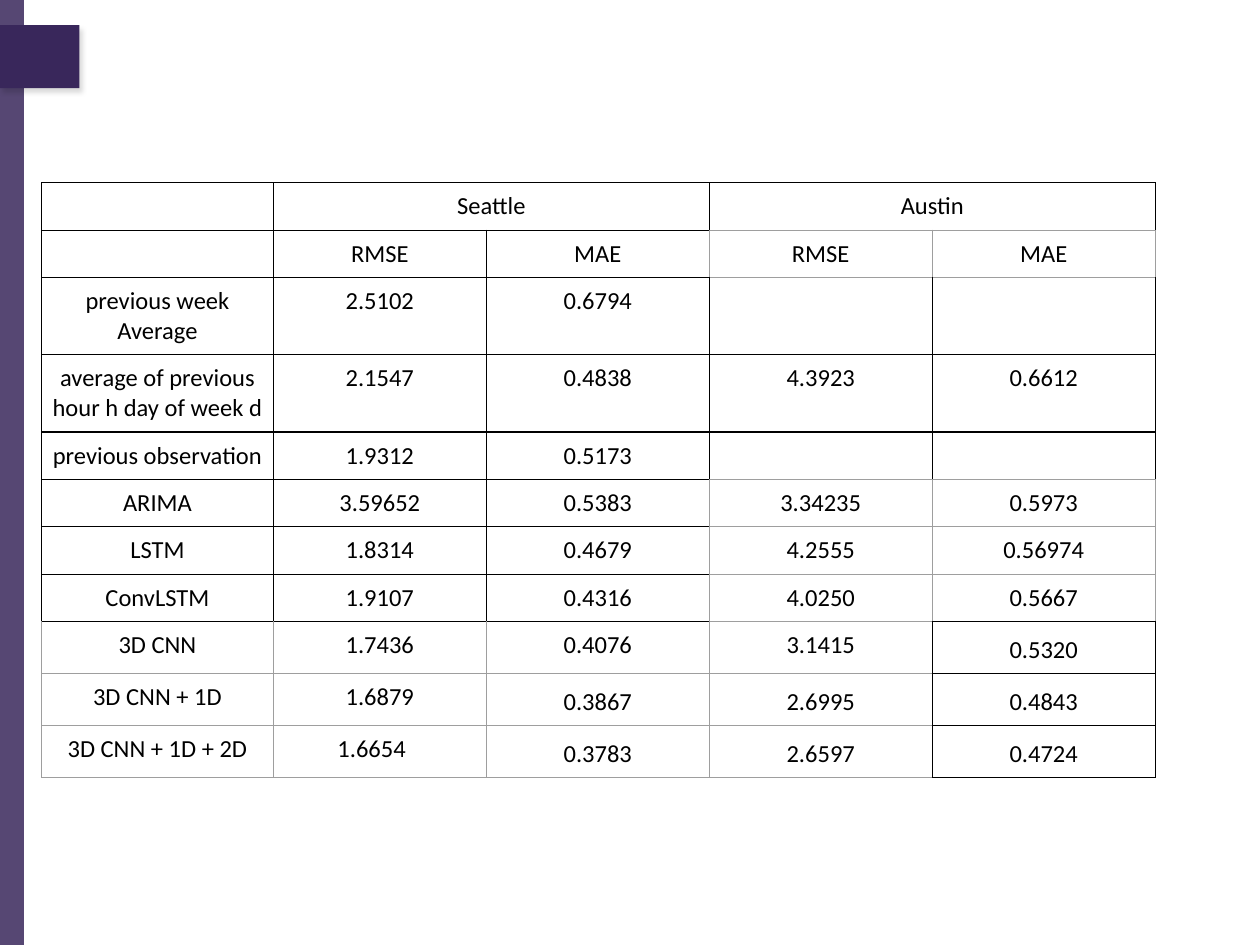
from itertools import product

from lxml import etree
from pptx import Presentation
from pptx.dml.color import RGBColor
from pptx.enum.shapes import MSO_SHAPE as SHAPE
from pptx.enum.text import PP_ALIGN as ALIGN
from pptx.oxml import parse_xml
from pptx.oxml.ns import nsdecls, qn
from pptx.util import Inches, Pt

COLORS = {"purple": "39275B", "black": "000000", "grey": "9E9E9E"}
FONT = "Calibri"
MARGIN = Inches(0.07)

COLUMN_WIDTHS = [1.84, 1.69, 1.77, 1.77, 1.77]
ROW_HEIGHTS = [0.37] * 2 + [0.6] * 2 + [0.37] * 4 + [0.39] * 3
ROWS = [
    ["", "Seattle", "", "Austin", ""],
    ["", "RMSE", "MAE", "RMSE", "MAE"],
    ["previous week Average", "2.5102", "0.6794", "", ""],
    ["average of previous hour h day of week d",
     "2.1547", "0.4838", "4.3923", "0.6612"],
    ["previous observation", "1.9312", "0.5173", "", ""],
    ["ARIMA", "3.59652", "0.5383", "3.34235", "0.5973"],
    ["LSTM", "1.8314", "0.4679", "4.2555", "0.56974"],
    ["ConvLSTM", "1.9107", "0.4316", "4.0250", "0.5667"],
    ["3D CNN", "1.7436", "0.4076", "3.1415", "0.5320"],
    ["3D CNN + 1D", "1.6879", "0.3867", "2.6995", "0.4843"],
    ["3D CNN + 1D + 2D", "1.6654", "0.3783", "2.6597", "0.4724"],
]
# Cells with looser line spacing, as (row, column)
LOOSE_CELLS = {(8, 4), *product((9, 10), (2, 3, 4))}

# Grey grid lines: horizontal as (line, column), vertical as (row, line)
GREY_HORIZONTAL = {*product((1, 2, 5, 6, 7), (3, 4)), (8, 3),
                   *product((9, 10, 11), range(4))}
GREY_VERTICAL = {*product((1, 5, 6, 7), (3, 4, 5)),
                 *product((8, 9, 10), range(4))}


def add_block(slide, left, top, width, height):
    shape = slide.shapes.add_shape(SHAPE.RECTANGLE, left, top, width, height)
    shape.shadow.inherit = False
    shape.fill.solid()
    shape.fill.fore_color.rgb = RGBColor.from_string(COLORS["purple"])
    shape.line.fill.background()
    return shape


def add_side_band(slide, left, top, width, height):
    # Translucent strip along the edge
    strip = add_block(slide, left, top, width, height)
    color = strip.fill._xPr.find(".//" + qn("a:srgbClr"))
    etree.SubElement(color, qn("a:alpha"), val="85000")

    # Tab with a soft shadow
    tab = add_block(slide, left, top + Inches(0.2), Inches(0.63), Inches(0.5))
    effects = tab._element.spPr.find(qn("a:effectLst"))
    effects.append(parse_xml(
        f'<a:outerShdw {nsdecls("a")} blurRad="38100" dist="38100" '
        f'dir="3600000" algn="tl" rotWithShape="0">'
        f'<a:srgbClr val="{COLORS["black"]}"><a:alpha val="15000"/>'
        f'</a:srgbClr></a:outerShdw>'))


def set_borders(cell, row, column):
    grey_sides = {
        "lnL": (row, column) in GREY_VERTICAL,
        "lnR": (row, column + 1) in GREY_VERTICAL,
        "lnT": (row, column) in GREY_HORIZONTAL,
        "lnB": (row + 1, column) in GREY_HORIZONTAL,
    }
    properties = cell._tc.get_or_add_tcPr()
    for position, (side, is_grey) in enumerate(grey_sides.items()):
        color = COLORS["grey" if is_grey else "black"]
        properties.insert(position, parse_xml(
            f'<a:{side} {nsdecls("a")} w="{Pt(0.75)}"><a:solidFill>'
            f'<a:srgbClr val="{color}"/></a:solidFill></a:{side}>'))


def fill_cell(cell, text, line_spacing):
    cell.fill.background()
    cell.margin_left = cell.margin_right = MARGIN
    cell.margin_top = cell.margin_bottom = MARGIN if text else Inches(0.03)
    cell.text = text
    paragraph = cell.text_frame.paragraphs[0]
    paragraph.alignment = ALIGN.CENTER
    paragraph.line_spacing = line_spacing
    paragraph.font.size = Pt(14)
    paragraph.font.name = FONT
    paragraph.font.color.rgb = RGBColor.from_string(COLORS["black"])


def add_results_table(slide, left, top):
    table = slide.shapes.add_table(
        len(ROWS), len(COLUMN_WIDTHS), left, top,
        Inches(sum(COLUMN_WIDTHS)), Inches(sum(ROW_HEIGHTS))).table
    table.first_row = table.horz_banding = False
    for column, width in zip(table.columns, COLUMN_WIDTHS):
        column.width = Inches(width)
    for row, height in zip(table.rows, ROW_HEIGHTS):
        row.height = Inches(height)

    for row, values in enumerate(ROWS):
        for column, text in enumerate(values):
            cell = table.cell(row, column)
            fill_cell(cell, text, 1.15 if (row, column) in LOOSE_CELLS else 1)
            set_borders(cell, row, column)

    # City headings span their two measures
    for column in (1, 3):
        table.cell(0, column).merge(table.cell(0, column + 1))
    # The last Seattle RMSE sits slightly left of centre
    table.cell(10, 1).margin_right = Inches(0.2)


def main():
    presentation = Presentation()
    presentation.slide_width = Inches(10)
    presentation.slide_height = Inches(7.5)
    slide = presentation.slides.add_slide(presentation.slide_layouts[6])
    add_side_band(slide, 0, 0, Inches(0.19), presentation.slide_height)
    add_results_table(slide, Inches(0.33), Inches(1.45))
    presentation.save("out.pptx")


if __name__ == "__main__":
    main()
